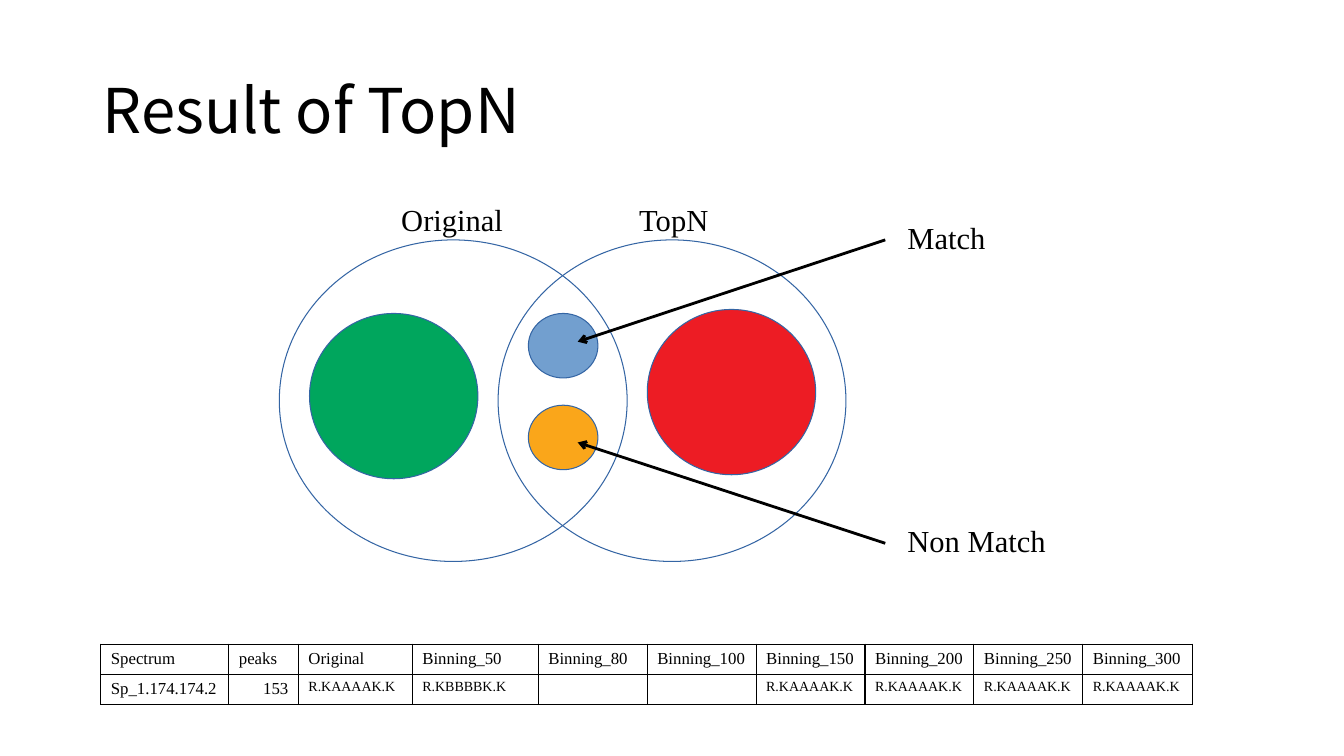
from lxml.etree import SubElement
from pptx import Presentation
from pptx.dml.color import RGBColor
from pptx.enum.shapes import MSO_CONNECTOR as Connector, MSO_SHAPE as Shape
from pptx.enum.text import MSO_ANCHOR as Anchor, PP_ALIGN as Align
from pptx.oxml.ns import qn
from pptx.util import Inches, Pt

BLACK = RGBColor(0x00, 0x00, 0x00)
WHITE = RGBColor(0xFF, 0xFF, 0xFF)
OUTLINE = RGBColor(0x34, 0x65, 0xA4)
GREEN = RGBColor(0x00, 0xA6, 0x5D)
RED = RGBColor(0xED, 0x1C, 0x24)
BLUE = RGBColor(0x72, 0x9F, 0xCF)
ORANGE = RGBColor(0xFA, 0xA6, 0x1A)

TITLE_FONT = "Noto Sans CJK KR"
BODY_FONT = "Times New Roman"

SET_SIZE = (3.45, 3.19)
GROUP_SIZE = (1.67, 1.64)
OVERLAP_SIZE = (0.69, 0.64)
CIRCLES = [
    (2.77, 2.38, SET_SIZE, WHITE),
    (4.94, 2.38, SET_SIZE, None),
    (3.07, 3.11, GROUP_SIZE, GREEN),
    (6.42, 3.07, GROUP_SIZE, RED),
    (5.24, 3.11, OVERLAP_SIZE, BLUE),
    (5.24, 4.02, OVERLAP_SIZE, ORANGE),
]
LABELS = [
    ("Original", 3.86, 1.93, 1.3),
    ("TopN", 6.22, 1.93, 0.96),
    ("Match", 8.88, 2.11, 1.06),
    ("Non Match", 8.88, 5.12, 1.68),
]
ARROWS = [(2.38, 3.39), (5.39, 4.39)]

COLUMN_WIDTHS = [1.27, 0.69, 1.13, 1.25] + [1.08] * 5 + [1.09]
ROW_HEIGHT = 0.3
BINNINGS = [50, 80, 100, 150, 200, 250, 300]
HEADER = ["Spectrum", "peaks", "Original"] + [f"Binning_{size}" for size in BINNINGS]
MATCH = "R.KAAAAK.K"
RESULT = ["Sp_1.174.174.2", "153", MATCH, "R.KBBBBK.K", "", ""] + [MATCH] * 4


def add_run(paragraph, text, size, font=BODY_FONT):
    run = paragraph.add_run()
    run.text = text
    run.font.size = Pt(size)
    run.font.name = font
    run.font.color.rgb = BLACK


def add_title(slide, text):
    box = slide.shapes.add_textbox(Inches(0.92), Inches(0.4), Inches(11.5), Inches(1.45))
    frame = box.text_frame
    frame.word_wrap = True
    frame.vertical_anchor = Anchor.MIDDLE
    paragraph = frame.paragraphs[0]
    paragraph.line_spacing = 0.9
    add_run(paragraph, text, 44, TITLE_FONT)


def add_label(slide, text, left, top, width):
    box = slide.shapes.add_textbox(Inches(left), Inches(top), Inches(width), Inches(0.45))
    frame = box.text_frame
    frame.word_wrap = False
    frame.margin_left = frame.margin_right = Inches(0.12)
    frame.margin_top = frame.margin_bottom = Inches(0.06)
    add_run(frame.paragraphs[0], text, 21.8)


def add_circle(slide, left, top, size, color):
    width, height = size
    circle = slide.shapes.add_shape(
        Shape.OVAL, Inches(left), Inches(top), Inches(width), Inches(height))
    circle.shadow.inherit = False
    if color is None:
        circle.fill.background()
    else:
        circle.fill.solid()
        circle.fill.fore_color.rgb = color
    circle.line.color.rgb = OUTLINE
    circle.line.width = Pt(0)


def add_arrow(slide, start_y, end_y):
    """Point from a label on the right into the overlap of the two sets."""
    arrow = slide.shapes.add_connector(
        Connector.STRAIGHT, Inches(8.78), Inches(start_y), Inches(5.73), Inches(end_y))
    arrow.line.color.rgb = BLACK
    arrow.line.width = Pt(0)
    SubElement(arrow.line._get_or_add_ln(), qn("a:tailEnd"), type="arrow")
    SubElement(arrow._element.spPr, qn("a:effectLst"))


def add_borders(cell):
    properties = cell._tc.get_or_add_tcPr()
    for side in ("lnL", "lnR", "lnT", "lnB"):
        line = SubElement(properties, qn(f"a:{side}"), w=str(Pt(1)))
        fill = SubElement(line, qn("a:solidFill"))
        SubElement(fill, qn("a:srgbClr"), val=str(BLACK))


def fill_cell(cell, text, size):
    add_borders(cell)
    cell.fill.background()
    paragraph = cell.text_frame.paragraphs[0]
    if text:
        add_run(paragraph, text, size)
    else:
        SubElement(paragraph._p, qn("a:endParaRPr"), sz=str(size * 100))
    if text.isdigit():
        paragraph.alignment = Align.RIGHT


def add_result_table(slide):
    rows = [HEADER, RESULT]
    table = slide.shapes.add_table(
        len(rows), len(HEADER), Inches(1), Inches(6.39),
        Inches(sum(COLUMN_WIDTHS)), Inches(ROW_HEIGHT * len(rows))).table
    table.first_row = table.horz_banding = False
    for column, width in zip(table.columns, COLUMN_WIDTHS):
        column.width = Inches(width)
    for row_index, texts in enumerate(rows):
        table.rows[row_index].height = Inches(ROW_HEIGHT)
        for column_index, text in enumerate(texts):
            is_peptide = row_index > 0 and column_index > 1
            fill_cell(table.cell(row_index, column_index), text, 10 if is_peptide else 12)


def main():
    presentation = Presentation()
    presentation.slide_width = Inches(13.33)
    presentation.slide_height = Inches(7.5)
    slide = presentation.slides.add_slide(presentation.slide_layouts[6])
    add_title(slide, "Result of TopN")
    for circle in CIRCLES:
        add_circle(slide, *circle)
    for label in LABELS:
        add_label(slide, *label)
    for arrow in ARROWS:
        add_arrow(slide, *arrow)
    add_result_table(slide)
    presentation.save("out.pptx")


if __name__ == "__main__":
    main()
